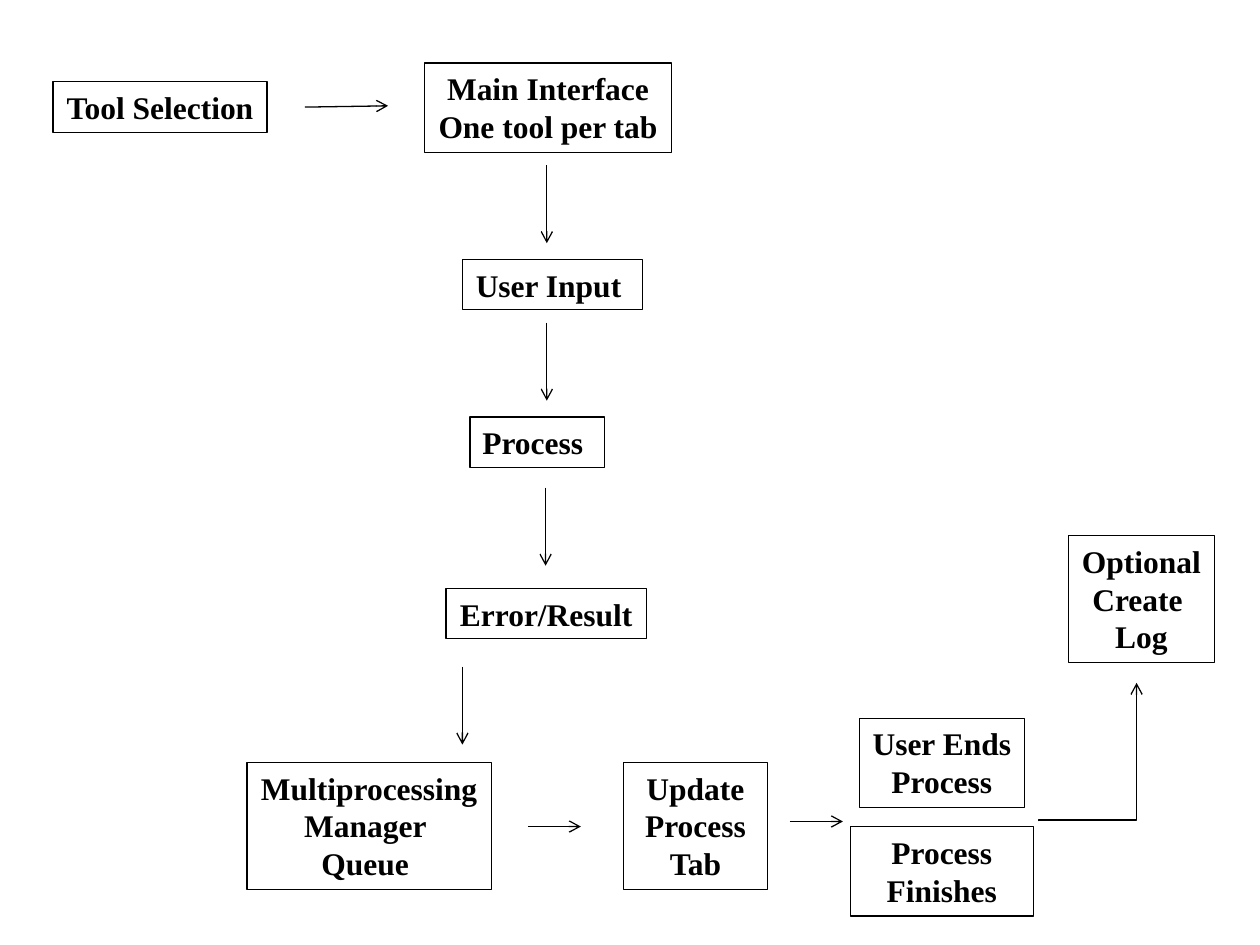
from lxml.etree import SubElement
from pptx import Presentation
from pptx.dml.color import RGBColor
from pptx.enum.shapes import MSO_CONNECTOR as Connector, MSO_SHAPE as Shape
from pptx.enum.text import MSO_ANCHOR as Anchor, MSO_AUTO_SIZE as AutoSize, PP_ALIGN as Align
from pptx.oxml.ns import qn
from pptx.util import Inches, Pt

THEME = {
    "font": "Times New Roman",
    "size": Pt(18),
    "ink": RGBColor(0, 0, 0),
    "line": Pt(0.75),
}
BOX_HEIGHTS = {1: 0.4, 2: 0.71, 3: 1.01}  # by number of text lines

# Steps: left, top, width, text lines
STEPS = [
    (0.42, 0.65, 1.7, ["Tool Selection"]),
    (3.37, 0.5, 1.96, ["Main Interface", "One tool per tab"]),
    (3.67, 2.06, 1.43, ["User Input "]),
    (3.73, 3.31, 1.07, ["Process"]),
    (3.54, 4.67, 1.59, ["Error/Result"]),
    (1.96, 6.05, 1.94, ["Multiprocessing", "Manager ", "Queue "]),
    (4.95, 6.05, 1.14, ["Update", " Process ", "Tab"]),
    (6.82, 5.7, 1.31, ["User Ends", "Process"]),
    (6.75, 6.56, 1.45, ["Process", "Finishes"]),
    (8.48, 4.25, 1.16, ["Optional", "Create ", "Log"]),
]
LEFT_ALIGNED = ["Process"]
WRAPPED = ["Process", "Finishes"]

# Arrows: start x, start y, run across, run down
DOWN, ACROSS = 0.62, 0.42
ARROWS = [
    (2.42, 0.85, 0.66, -0.01),
    (4.34, 1.31, 0, DOWN),
    (4.34, 2.56, 0, DOWN),
    (4.33, 3.87, 0, DOWN),
    (3.67, 5.29, 0, DOWN),
    (4.19, 6.56, ACROSS, 0),
    (6.27, 6.52, ACROSS, 0),
]
LOG_ARROW = (8.24, 6.52, 0.78, -1.1)


def add_step(slide, left, top, width, lines):
    height = BOX_HEIGHTS[len(lines)]
    shape = slide.shapes.add_shape(
        Shape.RECTANGLE, Inches(left), Inches(top), Inches(width), Inches(height))
    shape.shadow.inherit = False
    shape.fill.background()
    shape.line.color.rgb = THEME["ink"]
    shape.line.width = THEME["line"]
    frame = shape.text_frame
    frame.word_wrap = lines == WRAPPED
    frame.auto_size = AutoSize.SHAPE_TO_FIT_TEXT
    frame.vertical_anchor = Anchor.TOP
    for index, text in enumerate(lines):
        paragraph = frame.add_paragraph() if index else frame.paragraphs[0]
        paragraph.alignment = Align.LEFT if lines == LEFT_ALIGNED else Align.CENTER
        run = paragraph.add_run()
        run.text = text
        run.font.name = THEME["font"]
        run.font.size = THEME["size"]
        run.font.bold = True
        run.font.color.rgb = THEME["ink"]


def add_arrow(slide, x, y, across, down, kind=Connector.STRAIGHT):
    connector = slide.shapes.add_connector(
        kind, Inches(x), Inches(y), Inches(x + across), Inches(y + down))
    connector.line.color.rgb = THEME["ink"]
    connector.line.width = THEME["line"]
    properties = connector._element.spPr
    SubElement(properties.find(qn("a:ln")), qn("a:tailEnd"), type="arrow")
    SubElement(properties, qn("a:effectLst"))
    return connector


def add_elbow_arrow(slide, x, y, across, down):
    # Lay the elbow on its side, then turn it a quarter so it runs across first
    center_x, center_y = x + across / 2, y + down / 2
    connector = add_arrow(slide, center_x - down / 2, center_y + across / 2,
                          down, -across, Connector.ELBOW)
    properties = connector._element.spPr
    properties.find(qn("a:xfrm")).set("rot", str(90 * 60000))
    geometry = properties.find(qn("a:prstGeom"))
    adjustments = geometry.find(qn("a:avLst"))
    if adjustments is None:
        adjustments = SubElement(geometry, qn("a:avLst"))
    SubElement(adjustments, qn("a:gd"), name="adj1", fmla="val 1100")


def main():
    presentation = Presentation()
    presentation.slide_width = Inches(10)
    presentation.slide_height = Inches(7.5)
    slide = presentation.slides.add_slide(presentation.slide_layouts[6])

    # Boxes
    for step in STEPS:
        add_step(slide, *step)

    # Flow between them
    for arrow in ARROWS:
        add_arrow(slide, *arrow)
    add_elbow_arrow(slide, *LOG_ARROW)

    presentation.save("out.pptx")


if __name__ == "__main__":
    main()
